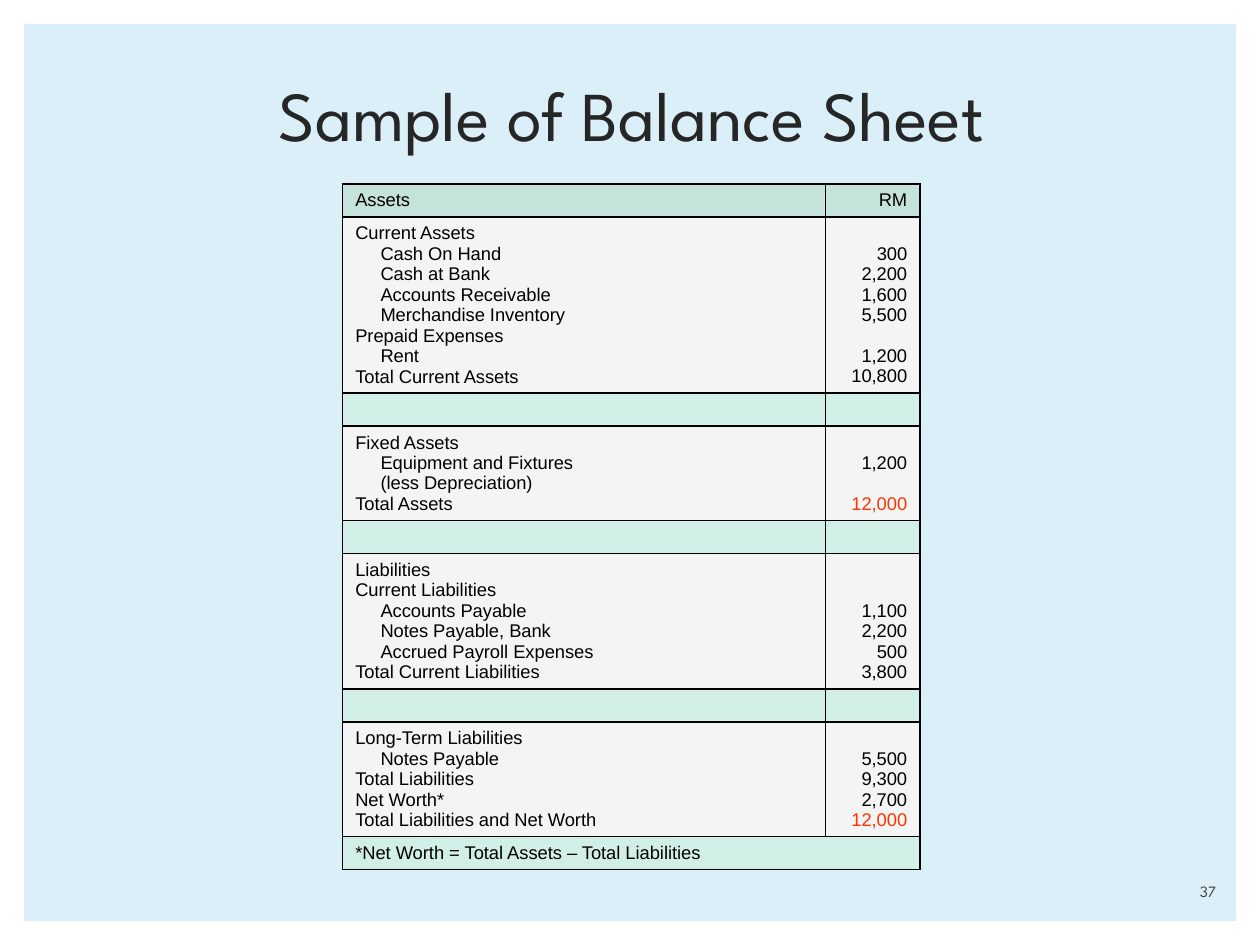
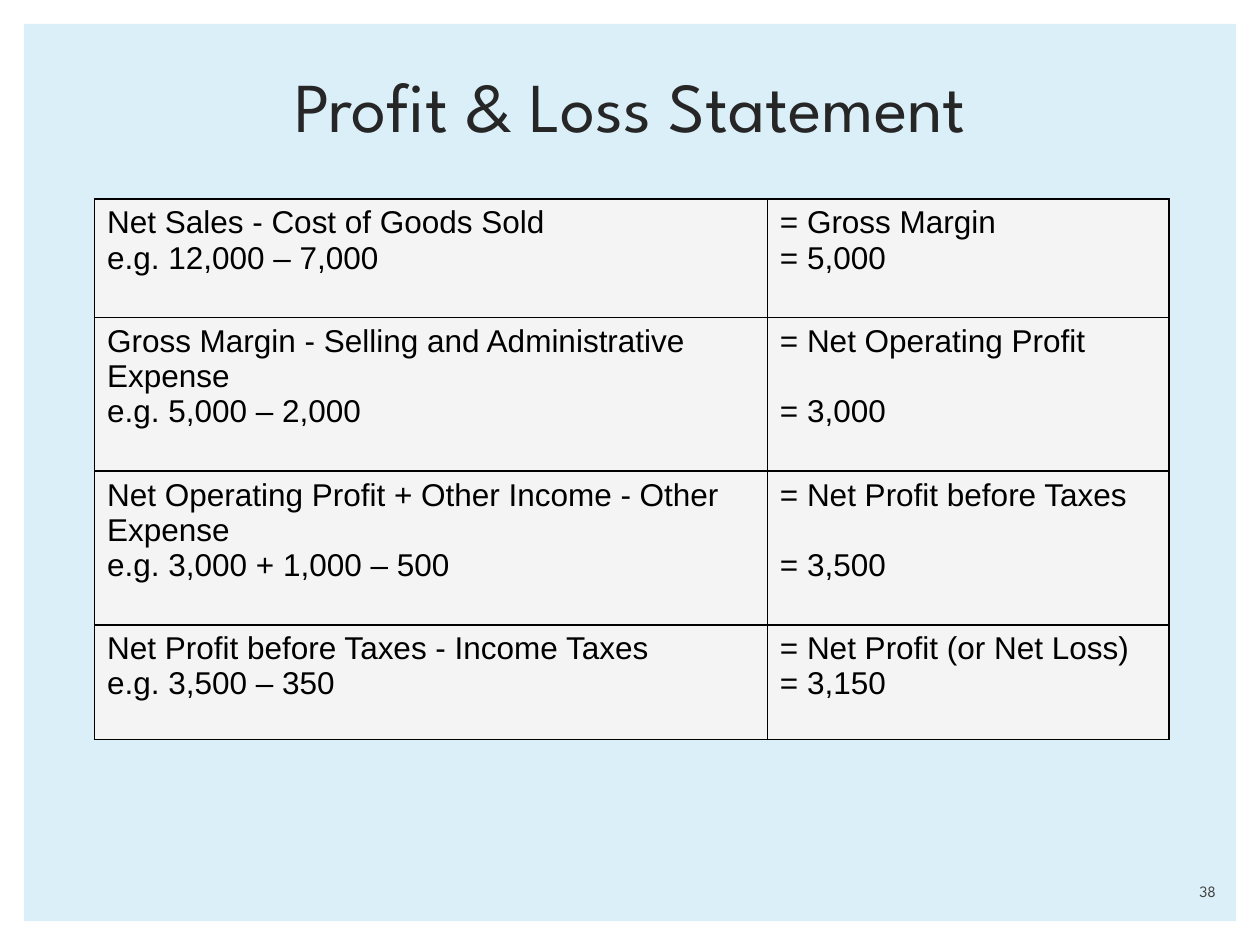
import lxml.etree
import pptx
import pptx.dml.color
import pptx.enum.shapes
import pptx.enum.text
import pptx.oxml.ns
import pptx.util

Inches = pptx.util.Inches
Pt = pptx.util.Pt
ALIGN = pptx.enum.text.PP_ALIGN
ANCHOR = pptx.enum.text.MSO_ANCHOR


def color(value):
    return pptx.dml.color.RGBColor.from_string(value)


class Deck:
    HEAD_FONT, BODY_FONT = "League Spartan", "Arial"
    PANEL, TITLE, NUMBER = "DBEFF9", "262626", "404040"
    BLACK, RED = "000000", "FF3300"
    HEADER, SPACER, PLAIN = "C6E3DB", "D2EFE7", "F4F4F4"

    def __init__(self):
        self.prs = pptx.Presentation()
        self.prs.slide_width, self.prs.slide_height = Inches(10), Inches(7.5)
        self.s = None

    def slide(self, title, left, top, number):
        self.s = self.prs.slides.add_slide(self.prs.slide_layouts[5])
        self.panel()
        self.title(title, left, top)
        self.number(number)

    def panel(self):
        sp = self.s.shapes.add_shape(pptx.enum.shapes.MSO_SHAPE.RECTANGLE, Inches(0.19),
                                     Inches(0.19), Inches(9.62), Inches(7.12))
        sp.shadow.inherit = False
        sp.fill.solid()
        sp.fill.fore_color.rgb = color(self.PANEL)
        sp.line.fill.background()
        self.s.shapes._spTree.insert(2, sp._element)  # behind the title

    def style(self, p, font, size, hex_color, align=ALIGN.LEFT):
        p.alignment = align
        p.font.name, p.font.size = font, Pt(size)
        p.font.color.rgb = color(hex_color)

    def title(self, text, left, top):
        sp = self.s.shapes.title
        sp.left, sp.top, sp.width, sp.height = Inches(left), Inches(top), Inches(8.5), Inches(0.73)
        tf = sp.text_frame
        tf.text = text
        tf.vertical_anchor = ANCHOR.MIDDLE
        p = tf.paragraphs[0]
        p.line_spacing = 0.9
        self.style(p, self.HEAD_FONT, 40, self.TITLE, ALIGN.CENTER)

    def number(self, number):
        sp = self.s.shapes.add_textbox(Inches(8.55), Inches(6.9), Inches(1.2), Inches(0.3))
        tf = sp.text_frame
        tf.word_wrap = True
        tf.vertical_anchor = ANCHOR.BOTTOM
        tf.text = str(number)
        self.style(tf.paragraphs[0], self.HEAD_FONT, 9, self.NUMBER, ALIGN.RIGHT)

    def table(self, left, top, widths, heights):
        frame = self.s.shapes.add_table(len(heights), len(widths), Inches(left), Inches(top),
                                        Inches(sum(widths)), Inches(sum(heights)))
        table = frame.table
        table.first_row = table.horz_banding = False
        for column, width in zip(table.columns, widths):
            column.width = Inches(width)
        for row, height in zip(table.rows, heights):
            row.height = Inches(height)
        return table

    def cell(self, cell, lines, size, fill, align=ALIGN.LEFT, pitch=None):
        """Each line is (text, indent in inches, space before in points, colour).

        The space before the first line becomes the top margin; pitch fixes the line height.
        """
        self.borders(cell)
        cell.fill.solid()
        cell.fill.fore_color.rgb = color(fill)
        tf = cell.text_frame
        for i, (text, indent, before, hex_color) in enumerate(lines):
            p = tf.add_paragraph() if i else tf.paragraphs[0]
            p.text = text
            if pitch:
                p.line_spacing = Pt(pitch)
            if i:
                p.space_before = Pt(before)
            else:
                cell.margin_top = Inches(0.05) + Pt(before)
            self.style(p, self.BODY_FONT, size, hex_color, align)
            if indent:
                p._p.get_or_add_pPr().set("marL", str(Inches(indent)))
        if not lines:  # keeps an empty row low
            end = lxml.etree.SubElement(tf.paragraphs[0]._p, pptx.oxml.ns.qn("a:endParaRPr"))
            end.set("sz", "800")

    def borders(self, cell):
        tcPr = cell._tc.get_or_add_tcPr()
        for side in ("a:lnL", "a:lnR", "a:lnT", "a:lnB"):
            ln = lxml.etree.SubElement(tcPr, pptx.oxml.ns.qn(side), w=str(Pt(1)))
            fill = lxml.etree.SubElement(ln, pptx.oxml.ns.qn("a:solidFill"))
            lxml.etree.SubElement(fill, pptx.oxml.ns.qn("a:srgbClr"), val=self.BLACK)


def balance_sheet(deck):
    size, pitch = 10.5, 11.67
    # Entries are (label, amount); a leading ">" marks an indented label
    sections = [
        [("Assets", "RM")],
        [("Current Assets", ""), (">Cash On Hand", "300"), (">Cash at Bank", "2,200"),
         (">Accounts Receivable", "1,600"), (">Merchandise Inventory", "5,500"),
         ("Prepaid Expenses", ""), (">Rent", "1,200"), ("Total Current Assets", "10,800")],
        [],
        [("Fixed Assets", ""), (">Equipment and Fixtures", "1,200"),
         (">(less Depreciation)", ""), ("Total Assets", "12,000")],
        [],
        [("Liabilities", ""), ("Current Liabilities", ""), (">Accounts Payable", "1,100"),
         (">Notes Payable, Bank", "2,200"), (">Accrued Payroll Expenses", "500"),
         ("Total Current Liabilities", "3,800")],
        [],
        [("Long-Term Liabilities", ""), (">Notes Payable", "5,500"), ("Total Liabilities", "9,300"),
         ("Net Worth*", "2,700"), ("Total Liabilities and Net Worth", "12,000")],
        [("*Net Worth = Total Assets – Total Liabilities", "")],
    ]
    last = len(sections) - 1
    deck.slide("Sample of Balance Sheet", 0.76, 0.58, 37)
    heights = [0.1 + max(len(entries), 1) * pitch / 72 for entries in sections]
    table = deck.table(2.72, 1.46, [3.83, 0.75], heights)
    table.cell(last, 0).merge(table.cell(last, 1))
    for i, entries in enumerate(sections):
        fill = deck.HEADER if i == 0 else deck.PLAIN if len(entries) > 1 else deck.SPACER
        labels = [(label.lstrip(">"), 0.2 if label.startswith(">") else 0, 0, deck.BLACK)
                  for label, _ in entries]
        # A line without an amount becomes space before the next amount
        amounts, gap = [], 0
        for _, amount in entries:
            if amount:
                hex_color = deck.RED if amount == "12,000" else deck.BLACK
                amounts.append((amount, 0, gap, hex_color))
            gap = 0 if amount else gap + pitch
        deck.cell(table.cell(i, 0), labels, size, fill, pitch=pitch)
        deck.cell(table.cell(i, 1), amounts, size, fill, ALIGN.RIGHT, pitch)


def profit_and_loss(deck):
    size, line = 18, 20.2
    # Height, formula, example, result, amount, lines skipped before the amount
    steps = [
        (0.94, "Net Sales - Cost of Goods Sold", "e.g. 12,000 – 7,000",
         "= Gross Margin", "= 5,000", 0),
        (1.22, "Gross Margin - Selling and Administrative Expense", "e.g. 5,000 – 2,000",
         "= Net Operating Profit", "= 3,000", 1),
        (1.22, "Net Operating Profit + Other Income - Other Expense", "e.g. 3,000 + 1,000 – 500",
         "= Net Profit before Taxes", "= 3,500", 1),
        (0.91, "Net Profit before Taxes - Income Taxes", "e.g. 3,500 – 350",
         "= Net Profit (or Net Loss)", "= 3,150", 0),
    ]
    deck.slide("Profit & Loss Statement", 0.75, 0.51, 38)
    table = deck.table(0.75, 1.58, [5.34, 3.19], [step[0] for step in steps])
    for i, (_, formula, example, result, amount, skipped) in enumerate(steps):
        for j, (first, second, gap) in enumerate([(formula, example, 0),
                                                  (result, amount, skipped * line)]):
            lines = [(first, 0, 0, deck.BLACK), (second, 0, gap, deck.BLACK)]
            deck.cell(table.cell(i, j), lines, size, deck.PLAIN)


def main():
    deck = Deck()
    balance_sheet(deck)
    profit_and_loss(deck)
    deck.prs.save("out.pptx")


if __name__ == "__main__":
    main()
